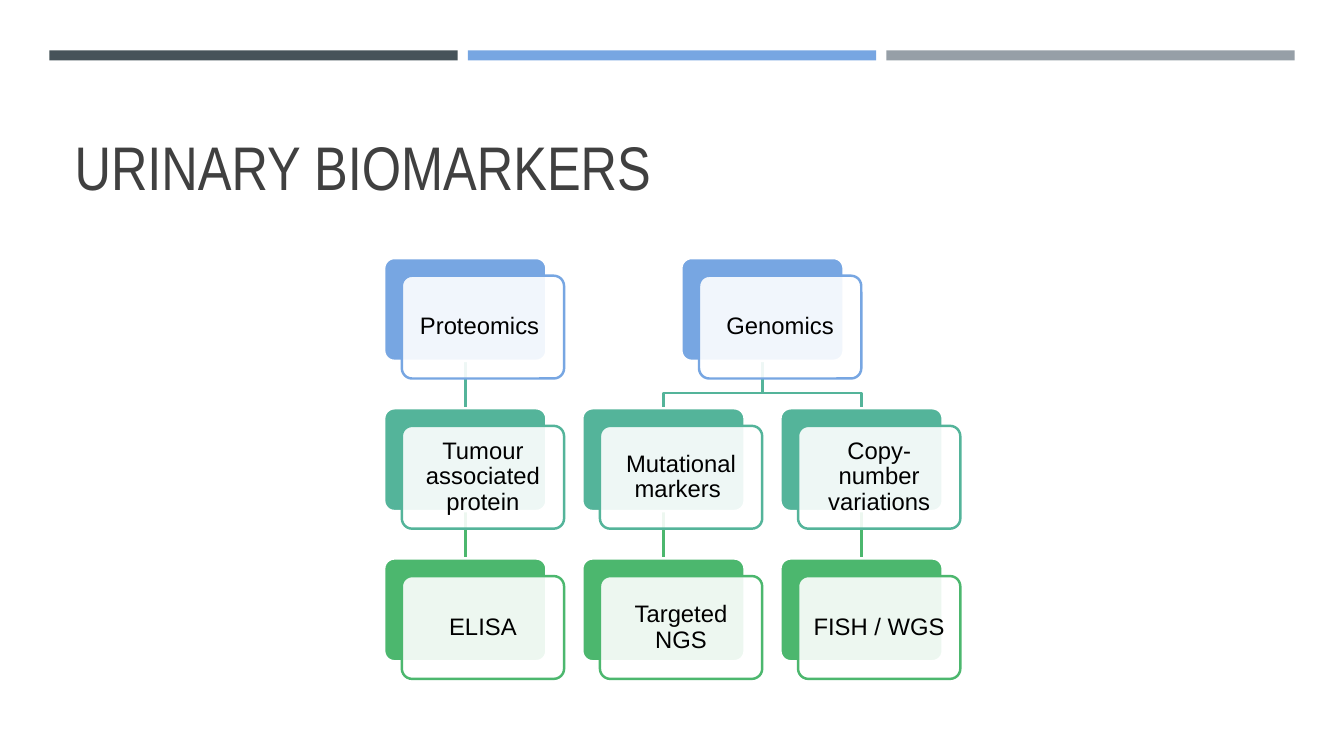
import pptx
import pptx.util
import pptx.dml.color
import pptx.enum.shapes
import pptx.enum.text
import lxml.etree
from dataclasses import dataclass

Inches = pptx.util.Inches
Shapes = pptx.enum.shapes.MSO_SHAPE
Align = pptx.enum.text.PP_ALIGN
Anchor = pptx.enum.text.MSO_ANCHOR
DRAWING = "{http://schemas.openxmlformats.org/drawingml/2006/main}"


@dataclass(frozen=True)
class Theme:
    bars: tuple = ("465359", "77A6E2", "969FA7")
    levels: tuple = ("77A6E2", "54B49A", "4CB76E")
    white: str = "FFFFFF"
    title: str = "404040"
    text: str = "000000"
    title_font: str = "Arial Narrow"
    body_font: str = "Arial"
    title_size: float = 44
    body_size: float = 17
    line: float = 1.75


THEME = Theme()

# Diagram grid, in inches
LEFT, TOP = 3.81, 2.56
COLUMN_STEP, ROW_STEP = 1.965, 1.49
NODE_WIDTH, NODE_HEIGHT = 1.61, 1.02
CARD_OFFSET = 0.175
BRANCH_DROP = 0.32

# name: (text, column, row, parent)
NODES = {
    "proteomics": ("Proteomics ", 0, 0, None),
    "genomics": ("Genomics", 1.5, 0, None),
    "protein": ("Tumour associated protein", 0, 1, "proteomics"),
    "mutation": ("Mutational markers ", 1, 1, "genomics"),
    "copy_number": ("Copy-number variations", 2, 1, "genomics"),
    "elisa": ("ELISA", 0, 2, "protein"),
    "targeted": ("Targeted NGS", 1, 2, "mutation"),
    "fish": ("FISH / WGS", 2, 2, "copy_number"),
}


def rgb(colour):
    return pptx.dml.color.RGBColor.from_string(colour)


def write_text(shape, text, *, font, size, colour, align, anchor, inset=None):
    frame = shape.text_frame
    frame.word_wrap = True
    frame.auto_size = pptx.enum.text.MSO_AUTO_SIZE.NONE
    frame.vertical_anchor = anchor
    if inset is not None:
        frame.margin_left = frame.margin_right = Inches(inset)
        frame.margin_top = frame.margin_bottom = Inches(inset)
    paragraph = frame.paragraphs[0]
    paragraph.alignment = align
    paragraph.line_spacing = 0.9
    run = paragraph.add_run()
    run.text = text
    run.font.name = font
    run.font.size = pptx.util.Pt(size)
    run.font.color.rgb = rgb(colour)


def set_line(shape, colour):
    shape.line.color.rgb = rgb(colour)
    shape.line.width = pptx.util.Pt(THEME.line)


def add_box(slide, kind, left, top, width, height, fill, line=None):
    shape = slide.shapes.add_shape(
        kind, Inches(left), Inches(top), Inches(width), Inches(height))
    shape.shadow.inherit = False
    shape.fill.solid()
    shape.fill.fore_color.rgb = rgb(fill)
    if line:
        set_line(shape, line)
    else:
        shape.line.fill.background()
    return shape


def add_header_bars(slide):
    for index, colour in enumerate(THEME.bars):
        add_box(slide, Shapes.RECTANGLE, 0.49 + 4.15 * index, 0.5, 4.05, 0.1, colour)


def add_title(slide, text):
    title = slide.shapes.title
    title.left, title.top = Inches(0.64), Inches(0.77)
    title.width, title.height = Inches(12.06), Inches(1.3)
    write_text(title, text, font=THEME.title_font, size=THEME.title_size,
               colour=THEME.title, align=Align.LEFT, anchor=Anchor.BOTTOM)


def add_node(slide, text, column, row):
    """Draw a coloured base with a translucent labelled card over it; return the base."""
    left, top = LEFT + column * COLUMN_STEP, TOP + row * ROW_STEP
    colour = THEME.levels[row]
    base = add_box(slide, Shapes.ROUNDED_RECTANGLE, left, top,
                   NODE_WIDTH, NODE_HEIGHT, colour, THEME.white)
    card = add_box(slide, Shapes.ROUNDED_RECTANGLE, left + CARD_OFFSET, top + CARD_OFFSET,
                   NODE_WIDTH, NODE_HEIGHT, THEME.white, colour)
    base.adjustments[0] = card.adjustments[0] = 0.1
    fill_colour = card.fill._xPr.find(f"{DRAWING}solidFill")[0]
    lxml.etree.SubElement(fill_colour, f"{DRAWING}alpha", val="90000")
    write_text(card, text, font=THEME.body_font, size=THEME.body_size, colour=THEME.text,
               align=Align.CENTER, anchor=Anchor.MIDDLE, inset=0.1)
    return base


def add_straight_link(slide, parent, child):
    link = slide.shapes.add_connector(pptx.enum.shapes.MSO_CONNECTOR.STRAIGHT, 0, 0, 0, 0)
    link.begin_connect(parent, 2)
    link.end_connect(child, 0)
    lxml.etree.SubElement(link._element.spPr, f"{DRAWING}effectLst")
    return link


def add_branch_link(slide, parent, child):
    start_x, start_y = parent.left + parent.width // 2, parent.top + parent.height
    end_x = child.left + child.width // 2
    bend_y = start_y + Inches(BRANCH_DROP)
    builder = slide.shapes.build_freeform(start_x, start_y)
    builder.add_line_segments(
        [(start_x, bend_y), (end_x, bend_y), (end_x, child.top)], close=False)
    link = builder.convert_to_shape()
    link.fill.background()
    link.shadow.inherit = False
    return link


def add_diagram(slide):
    bases = {name: add_node(slide, text, column, row)
             for name, (text, column, row, _) in NODES.items()}
    first_node = bases["proteomics"]._element
    for name, (_, column, row, parent) in NODES.items():
        if parent is None:
            continue
        straight = column == NODES[parent][1]
        add_link = add_straight_link if straight else add_branch_link
        link = add_link(slide, bases[parent], bases[name])
        set_line(link, THEME.levels[row])
        first_node.addprevious(link._element)  # links lie behind the nodes


def main():
    presentation = pptx.Presentation()
    presentation.slide_width, presentation.slide_height = Inches(13.33), Inches(7.5)
    slide = presentation.slides.add_slide(presentation.slide_layouts[5])
    add_header_bars(slide)
    add_title(slide, "URINARY BIOMARKERS")
    add_diagram(slide)
    presentation.save("out.pptx")


if __name__ == "__main__":
    main()
